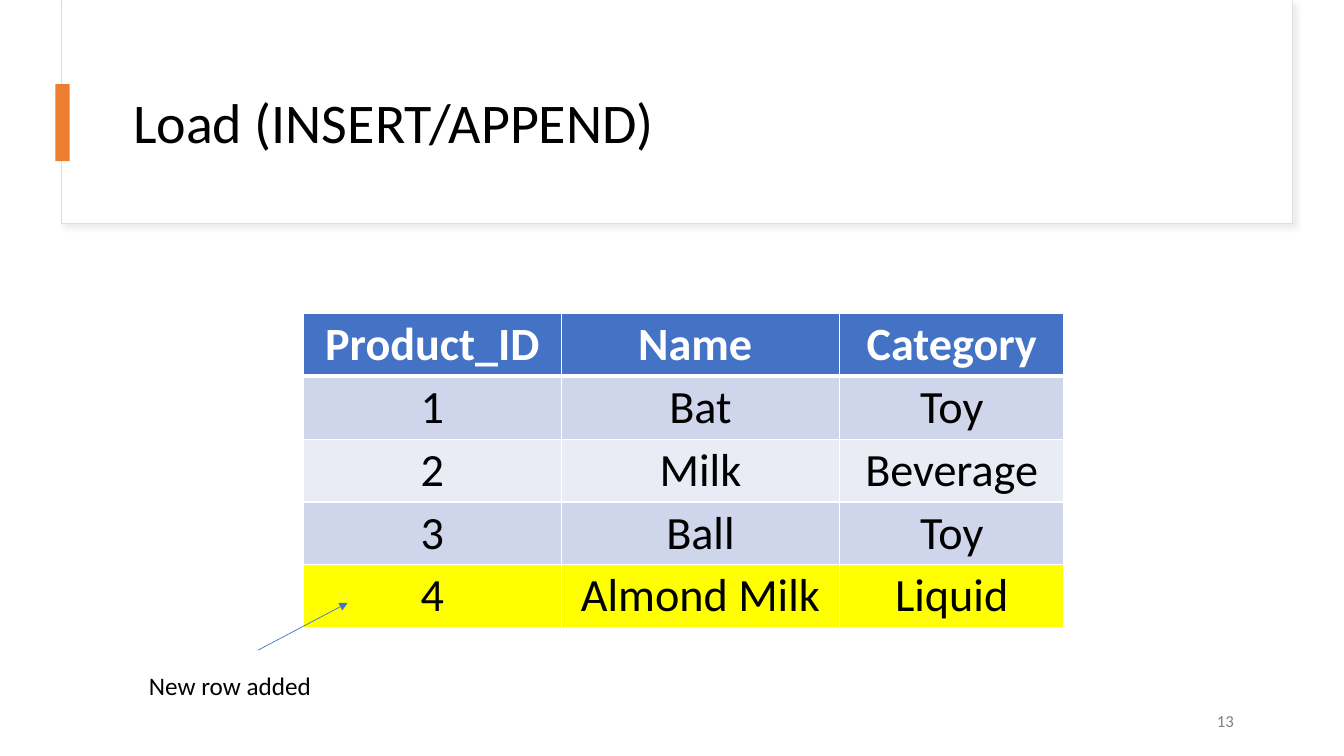
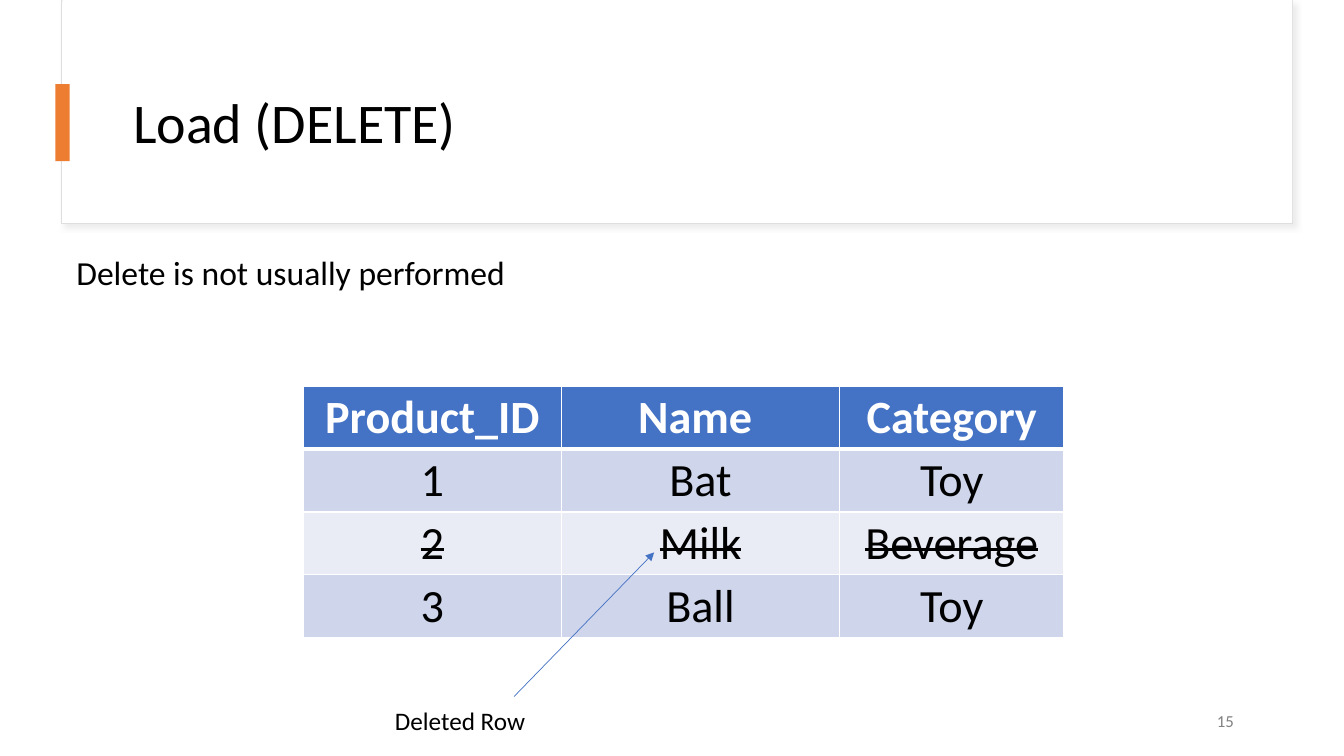
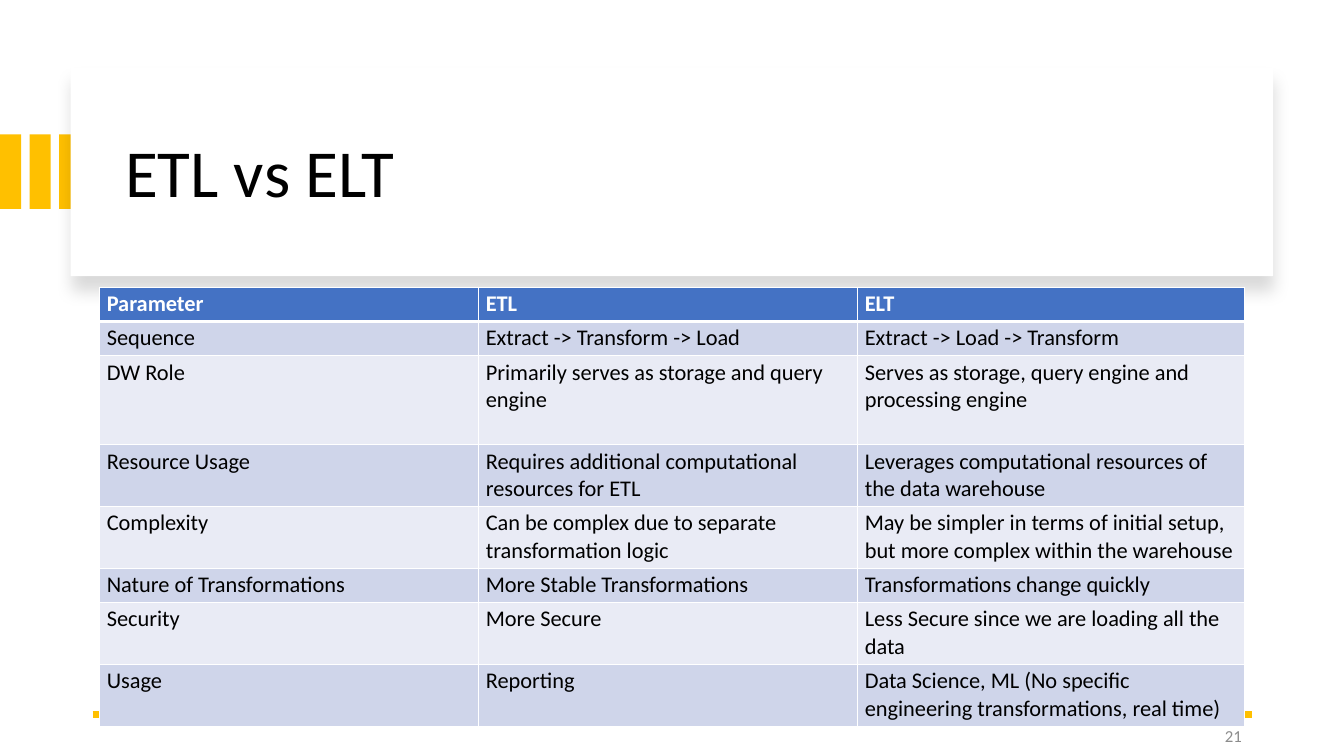
from lxml import etree
from pptx import Presentation
from pptx.dml.color import RGBColor
from pptx.enum.shapes import MSO_CONNECTOR, MSO_SHAPE
from pptx.enum.text import MSO_ANCHOR, MSO_AUTO_SIZE, PP_ALIGN
from pptx.oxml.ns import qn
from pptx.util import Inches, Pt

RECTANGLE, STRAIGHT = MSO_SHAPE.RECTANGLE, MSO_CONNECTOR.STRAIGHT
LEFT, CENTER, RIGHT = PP_ALIGN.LEFT, PP_ALIGN.CENTER, PP_ALIGN.RIGHT
TOP, MIDDLE = MSO_ANCHOR.TOP, MSO_ANCHOR.MIDDLE
FIXED = MSO_AUTO_SIZE.NONE

# Grid: the slide is 160 columns by 90 rows of square cells
CELL = Inches(1) / 12
COLUMNS, ROWS = 160, 90

FONT = "Calibri"
BLACK, WHITE, GREY, PALE_GREY = "000000", "FFFFFF", "808080", "8C8C8C"
BLUE, ORANGE, GOLD, YELLOW = "4472C4", "ED7D31", "FFC000", "FFFF00"
BANDS = ("CFD5EA", "E9EBF5")


def paint(fill, colour):
    fill.solid()
    fill.fore_color.rgb = RGBColor.from_string(colour)


def write(frame, text, colour, font_format, para_format):
    para = frame.paragraphs[0]
    for name, value in para_format.items():
        setattr(para, name, value)
    span = para.add_run()
    span.text = text
    for name, value in {"name": FONT, **font_format}.items():
        setattr(span.font, name, value)
    paint(span.font.fill, colour)
    return span


# Shared designs: boxes are (place, fill, outline, shadow),
# a shadow is (colour, opacity %, blur pt, distance pt, angle)
FRAMED = {
    "boxes": [
        ((7.32, 0.12, 146.52, 26.52), WHITE, "DEDEDE", ("D9D9D9", 50, 4, 3, 45)),
        ((7.44, 0, 146.4, 26.4), WHITE, None, None),
        ((6.6, 10, 1.7, 9.2), ORANGE, None, None),
    ],
    "title": ((14.64, 7.2, 133.44, 15.48), 40),
    "number": ((112.08, 83.4, 36, 4.8), GREY),
}
STRIPED = {
    "boxes": [
        *[((3.52 * bar, 16, 2.52, 8.88), GOLD, None, None) for bar in range(3)],
        ((8.4, 8.04, 143.16, 24.84), WHITE, None, (BLACK, 15, 11, 10, 90)),
    ],
    "title": ((13.68, 10.68, 133.56, 20.4), 48),
    "number": ((113.04, 85.2, 36, 4.8), PALE_GREY),
}

# Shared table styles
PRODUCT_STYLE = {
    "columns": (30.72, 33.12, 26.7), "size": 33, "align": CENTER,
    "cell": {"vertical_anchor": MIDDLE, "margin_left": 0, "margin_right": 0,
             "margin_top": 0, "margin_bottom": 0},
}
COMPARISON_STYLE = {
    "columns": (45.12, 45.12, 46.08), "size": 16, "align": LEFT,
    "cell": {"vertical_anchor": TOP,
             "margin_left": Inches(0.07), "margin_right": Inches(0.07),
             "margin_top": Inches(0.03), "margin_bottom": Inches(0.03)},
}
PRODUCTS = [
    ("Product_ID", "Name ", "Category"),
    ("1", "Bat", "Toy"),
    ("2", "Milk", "Beverage"),
    ("3", "Ball", "Toy"),
]
COMPARISON = [
    ("Parameter", "ETL", "ELT"),
    ("Sequence", "Extract -> Transform -> Load", "Extract -> Load -> Transform"),
    ("DW Role", "Primarily serves as storage and query engine",
     "Serves as storage, query engine and processing engine"),
    ("Resource Usage", "Requires additional computational resources for ETL",
     "Leverages computational resources of the data warehouse"),
    ("Complexity", "Can be complex due to separate transformation logic",
     "May be simpler in terms of initial setup, but more complex within the warehouse"),
    ("Nature of Transformations", "More Stable Transformations",
     "Transformations change quickly"),
    ("Security", "More Secure", "Less Secure since we are loading all the data"),
    ("Usage", "Reporting",
     "Data Science, ML (No specific engineering transformations, real time)"),
]
ONE_LINE, TWO_LINES, THREE_LINES = 4.08, 7.36, 10.6

# Content: labels are (place, text, size); a line is (ends, colour, width, arrow)
PAGES = [
    {
        "design": FRAMED, "title": "Load (INSERT/APPEND)", "number": "13",
        "table": PRODUCTS + [("4", "Almond Milk", "Liquid")],
        "style": PRODUCT_STYLE, "corner": (36.12, 37.32), "heights": [7.48] * 5,
        "added": 4, "deleted": None,
        "line": ((30.72, 77.4, 41.4, 71.76), BLUE, 0.5, True),
        "labels": [((16.56, 79.2, 33.6, 4.8), "New row added", 18)],
    },
    {
        "design": FRAMED, "title": "Load (DELETE)", "number": "15",
        "table": PRODUCTS,
        "style": PRODUCT_STYLE, "corner": (36.12, 46), "heights": [7.48] * 4,
        "added": None, "deleted": 2,
        "line": ((61.2, 82.92, 77.88, 65.76), BLUE, 0.5, True),
        "labels": [
            ((45.84, 83.4, 18.24, 4.8), "Deleted Row", 18),
            ((7.92, 29.4, 61.2, 6), "Delete is not usually performed", 24),
        ],
    },
    {
        "design": STRIPED, "title": "ETL vs ELT", "number": "21",
        "table": COMPARISON,
        "style": COMPARISON_STYLE, "corner": (11.88, 34.2),
        "heights": [ONE_LINE, ONE_LINE, THREE_LINES, TWO_LINES, TWO_LINES,
                    ONE_LINE, TWO_LINES, TWO_LINES],
        "added": None, "deleted": None,
        "line": ((11.04, 85.08, 149.04, 85.08), GOLD, 4.5, False),
        "labels": [],
    },
]

deck = Presentation()
deck.slide_width, deck.slide_height = round(COLUMNS * CELL), round(ROWS * CELL)
title_only = deck.slide_layouts[5]

for page in PAGES:
    shapes = deck.slides.add_slide(title_only).shapes
    design, style = page["design"], page["style"]

    # Banner and accents
    for place, fill, outline, shadow in design["boxes"]:
        box = shapes.add_shape(RECTANGLE, *[round(n * CELL) for n in place])
        paint(box.fill, fill)
        if outline:
            paint(box.line.fill, outline)
            box.line.width = Pt(0.75)
        else:
            box.line.fill.background()
        box.shadow.inherit = False
        if shadow:
            colour, opacity, blur, distance, angle = shadow
            effects = box.element.spPr.find(qn("a:effectLst"))
            outer = etree.SubElement(
                effects, qn("a:outerShdw"), blurRad=str(Pt(blur)),
                dist=str(Pt(distance)), dir=str(angle * 60000),
                algn="t", rotWithShape="0")
            tint = etree.SubElement(outer, qn("a:srgbClr"), val=colour)
            etree.SubElement(tint, qn("a:alpha"), val=str(opacity * 1000))

    # Title, lifted above the banner
    place, size = design["title"]
    title = shapes.title
    shapes.element.append(title.element)
    title.left, title.top, title.width, title.height = [round(n * CELL) for n in place]
    title.text_frame.vertical_anchor = MIDDLE
    title.text_frame.auto_size = FIXED
    write(title.text_frame, page["title"], BLACK, {"size": Pt(size)},
          {"alignment": LEFT, "line_spacing": 0.9})

    # Labels and page number
    place, number_colour = design["number"]
    texts = [(*label, BLACK, TOP, {}) for label in page["labels"]]
    texts.append((place, page["number"], 12, number_colour, MIDDLE,
                  {"alignment": RIGHT, "space_after": Pt(6)}))
    for place, text, size, colour, anchor, para_format in texts:
        frame = shapes.add_textbox(*[round(n * CELL) for n in place]).text_frame
        frame.word_wrap = True
        frame.vertical_anchor = anchor
        write(frame, text, colour, {"size": Pt(size)}, para_format)

    # Table
    rows, widths, heights = page["table"], style["columns"], page["heights"]
    place = (*page["corner"], sum(widths), sum(heights))
    holder = shapes.add_table(len(rows), len(widths), *[round(n * CELL) for n in place])
    table = holder.table
    for column, width in zip(table.columns, widths):
        column.width = round(width * CELL)
    for index, (row, height, texts) in enumerate(zip(table.rows, heights, rows)):
        row.height = round(height * CELL)
        header = index == 0
        fill = BLUE if header else BANDS[(index - 1) % 2]
        if index == page["added"]:
            fill = YELLOW
        borders = {"L": 1, "R": 1, "T": 3 if index == 1 else 1, "B": 3 if header else 1}
        for cell, text in zip(row.cells, texts):
            for name, value in style["cell"].items():
                setattr(cell, name, value)
            paint(cell.fill, fill)
            span = write(cell.text_frame, text, WHITE if header else BLACK,
                         {"size": Pt(style["size"]), "bold": header},
                         {"alignment": style["align"]})
            if index == page["deleted"]:
                span._r.get_or_add_rPr().set("strike", "sngStrike")
            properties = cell._tc.get_or_add_tcPr()
            for order, (side, width) in enumerate(borders.items()):
                border = etree.Element(qn("a:ln" + side), w=str(Pt(width)))
                solid = etree.SubElement(border, qn("a:solidFill"))
                etree.SubElement(solid, qn("a:srgbClr"), val=WHITE)
                properties.insert(order, border)

    # Arrow over the table, or rule beneath it
    ends, colour, width, arrow = page["line"]
    line = shapes.add_connector(STRAIGHT, *[round(n * CELL) for n in ends])
    paint(line.line.fill, colour)
    line.line.width = Pt(width)
    etree.SubElement(line.element.spPr, qn("a:effectLst"))
    if arrow:
        outline = line.element.spPr.find(qn("a:ln"))
        etree.SubElement(outline, qn("a:tailEnd"), type="triangle")
    else:
        shapes.element.append(holder.element)

deck.save("out.pptx")
